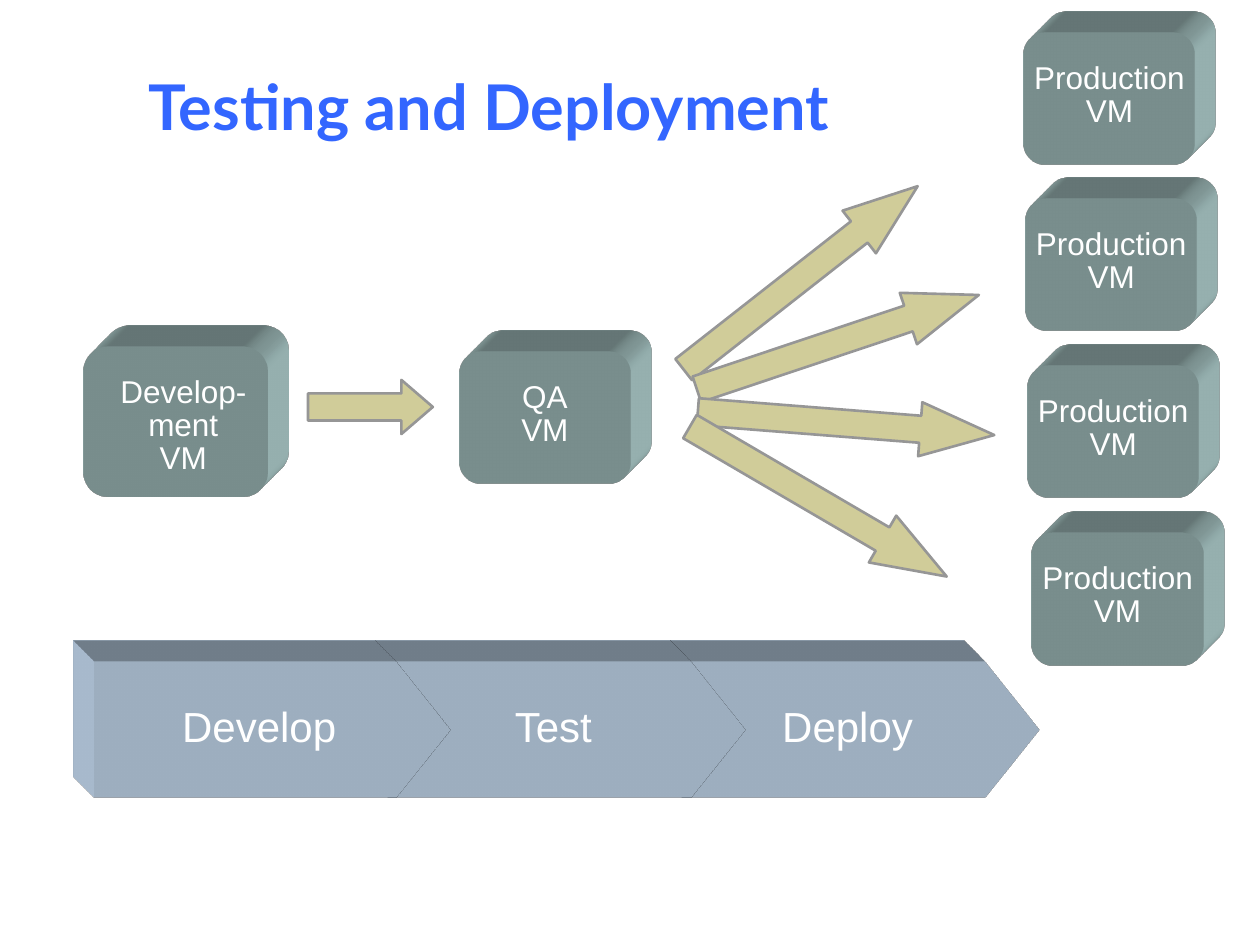
"""Build the testing and deployment pipeline slide."""
from dataclasses import dataclass

from lxml import etree
from pptx import Presentation
from pptx.dml.color import RGBColor
from pptx.enum.shapes import MSO_SHAPE
from pptx.enum.text import MSO_ANCHOR, PP_ALIGN
from pptx.oxml import parse_xml
from pptx.util import Inches, Pt

ROUNDED = MSO_SHAPE.ROUNDED_RECTANGLE
PENTAGON = MSO_SHAPE.PENTAGON
DOWN_ARROW = MSO_SHAPE.DOWN_ARROW
CENTER = PP_ALIGN.CENTER
MIDDLE = MSO_ANCHOR.MIDDLE

COLORS = {"title": "3366FF", "text": "FFFFFF", "box": "ABC9C8",
          "step": "C0D5EA", "arrow": "D0CC99", "edge": "969696"}
COLS, ROWS = 100, 75
DRAWING_NS = "http://schemas.openxmlformats.org/drawingml/2006/main"

prs = Presentation()
prs.slide_width, prs.slide_height = Inches(10), Inches(7.5)
COL, ROW = prs.slide_width / COLS, prs.slide_height / ROWS


@dataclass
class Box:
    text: str
    col: float
    row: float
    cols: float = 13.6
    rows: float = 10.5
    shift: float = 0


@dataclass
class Arrow:
    col: float
    row: float
    turn: float
    length: float = 23.6
    head: float = 1.37


BOXES = [
    Box("Production\nVM", 81.25, 2.6),
    Box("Production\nVM", 81.4, 15.75),
    Box("Production\nVM", 81.55, 29),
    Box("Production\nVM", 81.9, 42.3),
    Box("Develop-\nment\nVM", 6.65, 27.5, 14.6, 11.9, 0.6),
    Box("QA\nVM", 36.45, 27.9),
]
ARROWS = [
    Arrow(61.4, 10.25, 231.9),
    Arrow(64.35, 15.35, 251.5),
    Arrow(65, 21.8, 274.5),
    Arrow(62.8, 28, 300.3),
    Arrow(27.25, 27.35, 270, 9.9, 0.58),
]
STEPS = ["Develop", "Test", "Deploy"]
STEP_LEFT, STEP_PITCH = 7.5, 23.35


def place(col: float, row: float, cols: float, rows: float) -> list[int]:
    """Turn grid units into slide lengths."""
    return [round(v) for v in (col * COL, row * ROW, cols * COL, rows * ROW)]


def write(sp, text: str, size: float, color: str, font: str = "Arial",
          bold: bool = False, spacing: float = 0.87) -> None:
    """Set centred text and format its runs."""
    tf = sp.text_frame
    tf.text = text
    tf.word_wrap = False
    tf.vertical_anchor = MIDDLE
    for p in tf.paragraphs:
        p.alignment = CENTER
        p.line_spacing = spacing
        for r in p.runs:
            r.font.name, r.font.size, r.font.bold = font, Pt(size), bold
            r.font.color.rgb = RGBColor.from_string(COLORS[color])


def add_label(slide, text: str, area: list[int], size: float, color: str,
              **style) -> None:
    """Add a text box without insets."""
    sp = slide.shapes.add_textbox(*area)
    tf = sp.text_frame
    tf.margin_left = tf.margin_right = tf.margin_top = tf.margin_bottom = 0
    write(sp, text, size, color, **style)


def add_solid(slide, kind, area: list[int], color: str):
    """Add a filled shape without line or shadow."""
    sp = slide.shapes.add_shape(kind, *area)
    sp.shadow.inherit = False
    sp.fill.solid()
    sp.fill.fore_color.rgb = RGBColor.from_string(COLORS[color])
    sp.line.fill.background()
    return sp


def extrude(sp, side: str, color: str) -> None:
    """Give a shape depth towards its upper left or right."""
    root = parse_xml(
        f'<a:root xmlns:a="{DRAWING_NS}"><a:scene3d>'
        f'<a:camera prst="legacyObliqueTop{side}"/>'
        '<a:lightRig rig="legacyFlat3" dir="b"/></a:scene3d>'
        '<a:sp3d extrusionH="430200" prstMaterial="legacyMatte">'
        '<a:bevelT w="13500" h="13500" prst="angle"/>'
        '<a:bevelB w="13500" h="13500" prst="angle"/>'
        f'<a:extrusionClr><a:srgbClr val="{COLORS[color]}"/></a:extrusionClr>'
        '</a:sp3d></a:root>')
    for part in list(root):
        sp._element.spPr.append(part)
    etree.cleanup_namespaces(sp._element)


def add_box(slide, box: Box) -> None:
    """Draw a virtual machine block and its label."""
    sp = add_solid(slide, ROUNDED, place(box.col, box.row, box.cols, box.rows), "box")
    extrude(sp, "Right", "box")
    rows = 2.63 * len(box.text.split("\n"))
    row = box.row + (box.rows - rows) / 2 - 0.2 + box.shift
    add_label(slide, box.text, place(box.col + box.shift, row, box.cols, rows), 18, "text")


def add_arrow(slide, arrow: Arrow) -> None:
    """Draw a turned block arrow."""
    sp = add_solid(slide, DOWN_ARROW, place(arrow.col, arrow.row, 4.3, arrow.length), "arrow")
    sp.adjustments[1] = arrow.head
    sp.rotation = arrow.turn
    sp.line.color.rgb = RGBColor.from_string(COLORS["edge"])
    sp.line.width = Pt(1.5)


def add_step(slide, index: int, text: str) -> None:
    """Draw one step of the process band."""
    area = place(STEP_LEFT + index * STEP_PITCH, 52.5, 28.3, 10.8)
    sp = add_solid(slide, PENTAGON, area, "step")
    sp.adjustments[0] = 0.4
    extrude(sp, "Left", "step")
    write(sp, text, 24, "text")


def main() -> None:
    """Assemble and save the slide."""
    slide = prs.slides.add_slide(prs.slide_layouts[6])
    for index, text in reversed(list(enumerate(STEPS))):
        add_step(slide, index, text)
    for box in BOXES:
        add_box(slide, box)
    for arrow in ARROWS:
        add_arrow(slide, arrow)
    add_label(slide, "Testing and Deployment", place(3.8, 2.1, 70, 12.5), 36,
              "title", font="Lato", bold=True, spacing=1)
    prs.save("out.pptx")


if __name__ == "__main__":
    main()
